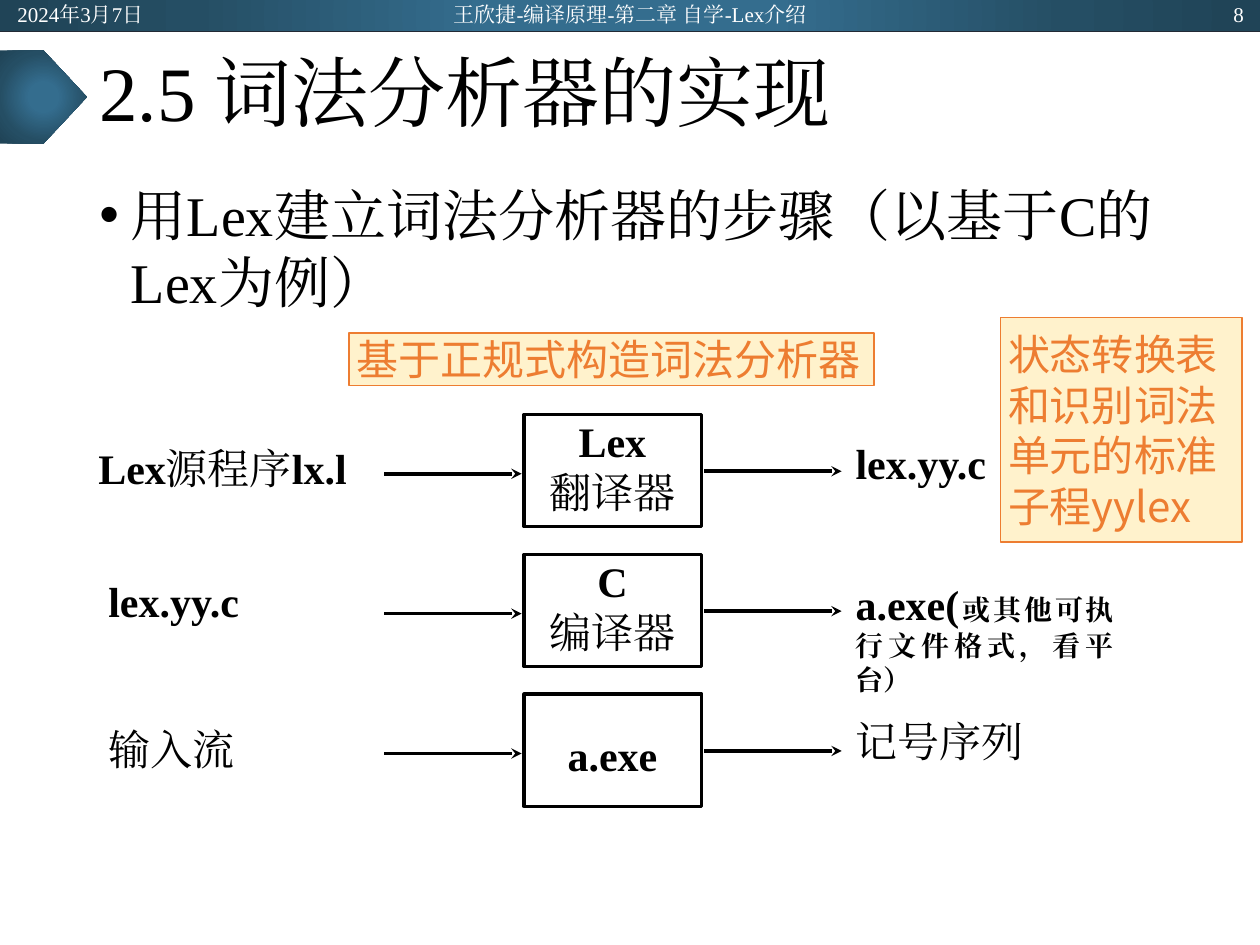
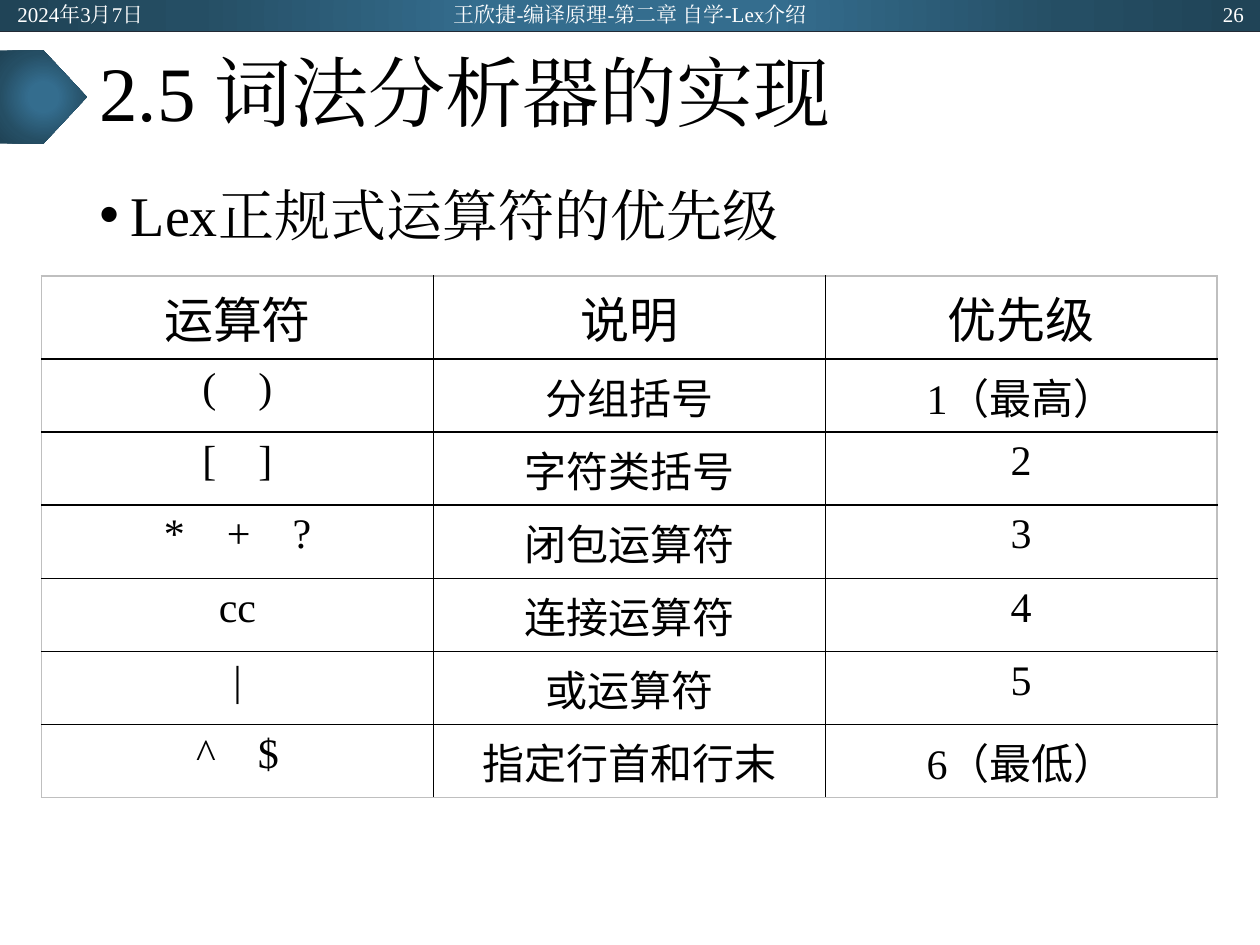
"""Build two slides on making a lexer with Lex."""
from lxml.etree import SubElement as Sub
from pptx import Presentation
from pptx.dml.color import RGBColor as Rgb
from pptx.enum.shapes import MSO_CONNECTOR as Conn, MSO_SHAPE as Geo
from pptx.enum.text import MSO_ANCHOR as Anchor, PP_ALIGN as Align
from pptx.oxml import parse_xml
from pptx.oxml.ns import qn
from pptx.util import Inches, Pt

HUES = {"black": "000000", "white": "FFFFFF", "edge": "222A35", "grey": "BFBFBF",
        "cream": "FFF2CC", "orange": "ED7D31"}
STOPS = [(0, "346D8E"), (23, "346D8E"), (69, "254E64"), (97, "204457")]
SERIF, SANS = "Times New Roman", "Noto Sans CJK SC"
NS = 'xmlns:a="http://schemas.openxmlformats.org/drawingml/2006/main"'
PAD = (0.09, 0.03, 0.1, 0.05)


def hue(name):
    return Rgb.from_string(HUES[name])


def write(frame, text, size=24, font=SERIF, east=None, color="black", bold=False,
          align=Align.LEFT, anchor=Anchor.TOP, pad=(0.1, 0.05, 0.1, 0.05),
          lead=1.2, bullet=False):
    """Fill a frame; each paragraph is a string or a list of (string, changes)."""
    frame.word_wrap = True
    frame.vertical_anchor = anchor
    (frame.margin_left, frame.margin_top,
     frame.margin_right, frame.margin_bottom) = map(Inches, pad)
    for i, part in enumerate([text] if isinstance(text, str) else text):
        para = frame.add_paragraph() if i else frame.paragraphs[0]
        para.alignment = align
        if lead:
            para.line_spacing = Pt(size * lead) if lead > 1 else lead
        if bullet:
            props = para._p.get_or_add_pPr()
            props.set("marL", str(Inches(0.25)))
            props.set("indent", str(-Inches(0.25)))
            Sub(props, qn("a:buFont")).set("typeface", "Arial")
            Sub(props, qn("a:buChar")).set("char", "•")
        for words, diff in [(part, {})] if isinstance(part, str) else part:
            run = para.add_run()
            run.text = words
            run.font.size = Pt(diff.get("size", size))
            run.font.bold = diff.get("bold", bold)
            run.font.color.rgb = hue(color)
            run.font.name = font
            props = run._r.get_or_add_rPr()
            Sub(props, qn("a:ea")).set("typeface", east or font)
            if "gap" in diff:
                props.set("spc", str(diff["gap"] * 100))


class Deck:
    """Hold the style and the current slide."""

    def __init__(self):
        self.show = Presentation()
        self.show.slide_width, self.show.slide_height = Inches(10), Inches(7.5)

    def start(self, point, page):
        self.slide = self.show.slides.add_slide(self.show.slide_layouts[6])
        self.glow(Geo.RECTANGLE, (0, 0, 10, 0.25))
        self.line(0, 0.25, 10, 0.25, "edge", 0.5)
        self.glow(Geo.PENTAGON, (0, 0.4, 0.69, 0.74))
        self.text((0.69, 0.25, 8.62, 1.04), "2.5 词法分析器的实现", size=44,
                  anchor=Anchor.MIDDLE, lead=0.9)
        self.text((0.69, 1.38, 8.62, 5.38), point, size=32, bullet=True)
        for left, width, words, align in [
                (0.04, 2.25, "2024年3月7日", Align.LEFT),
                (3.31, 3.38, "王欣捷-编译原理-第二章 自学-Lex介绍", Align.CENTER),
                (7.72, 2.25, page, Align.RIGHT)]:
            self.text((left, 0.01, width, 0.2), words, size=12, color="white",
                      align=align, anchor=Anchor.MIDDLE, lead=None)

    def text(self, box, words, **fmt):
        area = self.slide.shapes.add_textbox(*map(Inches, box))
        write(area.text_frame, words, **fmt)

    def shape(self, geo, box):
        form = self.slide.shapes.add_shape(geo, *map(Inches, box))
        form.shadow.inherit = False
        form.fill.background()
        form.line.fill.background()
        return form

    def glow(self, geo, box):
        props = self.shape(geo, box)._element.spPr
        stops = "".join(f'<a:gs pos="{pos * 1000}"><a:srgbClr val="{tone}"/></a:gs>'
                        for pos, tone in STOPS)
        fill = parse_xml(
            f'<a:gradFill {NS} rotWithShape="1"><a:gsLst>{stops}</a:gsLst>'
            '<a:path path="circle"><a:fillToRect l="50000" t="50000" r="50000" '
            'b="50000"/></a:path></a:gradFill>')
        props.replace(props.find(qn("a:noFill")), fill)

    def frame(self, box, words, line="black", width=2, fill=None, **fmt):
        form = self.shape(Geo.RECTANGLE, box)
        form.line.color.rgb = hue(line)
        form.line.width = Pt(width)
        if fill:
            form.fill.solid()
            form.fill.fore_color.rgb = hue(fill)
        write(form.text_frame, words, **fmt)

    def note(self, box, words):
        self.frame(box, words, "orange", 1, "cream", font=SANS, color="orange",
                   anchor=Anchor.MIDDLE, pad=(0.06, 0.03, 0.06, 0.03))

    def line(self, x, y, right, base, color="black", width=2, arrow=False):
        link = self.slide.shapes.add_connector(
            Conn.STRAIGHT, *map(Inches, (x, y, right, base)))
        link.line.color.rgb = hue(color)
        link.line.width = Pt(width)
        if arrow:
            Sub(link.line._get_or_add_ln(), qn("a:tailEnd")).set("type", "stealth")
        Sub(link._element.spPr, qn("a:effectLst"))

    def table(self, box, rows):
        high, wide = len(rows), len(rows[0])
        grid = self.slide.shapes.add_table(high, wide, *map(Inches, box)).table
        grid.first_row = grid.horz_banding = False
        for r, row in enumerate(rows):
            grid.rows[r].height = Inches(0.66 if r == 0 else 0.58)
            for c, words in enumerate(row):
                cell = grid.cell(r, c)
                cell.fill.solid()
                cell.fill.fore_color.rgb = hue("white")
                runs = []
                for word in words.split():
                    runs += [(" ", {"gap": 18})] * bool(runs) + [(word, {})]
                write(cell.text_frame, [runs], size=28 if r == 0 else 24,
                      east=SANS, align=Align.CENTER, lead=None)
                outer = [c == 0, c == wide - 1, r == 0, r == high - 1]
                for i, (side, rim) in enumerate(zip("LRTB", outer)):
                    tone = HUES["grey" if rim else "black"]
                    cell._tc.get_or_add_tcPr().insert(i, parse_xml(
                        f'<a:ln{side} {NS} w="{Pt(1)}"><a:solidFill>'
                        f'<a:srgbClr val="{tone}"/></a:solidFill></a:ln{side}>'))


def steps(deck):
    """Draw the three steps from source to tokens."""
    deck.start("用Lex建立词法分析器的步骤（以基于C的Lex为例）", "8")
    plain, strong = {"bold": False}, {"bold": True}
    flow = [
        ([[("Lex", strong), ("翻译器", plain)]], None, None),
    ]
    flow = [
        ((0.69, 3.48), [[("Lex", strong), ("源程序", plain), ("lx.l", strong)]],
         [[("Lex", strong)], "翻译器"], 3.44, [[("lex.yy.c", strong)]]),
        ((0.77, 4.54), [[("lex.yy.c", strong)]],
         [[("C", strong)], "编译器"], 4.56,
         [[("a.exe(", strong),
           ("或其他可执行文件格式，看平台）", {"size": 16, "bold": True})]]),
        ((0.77, 5.71), "输入流", [[("a.exe", strong)]], 5.65, "记号序列"),
    ]
    for i, (spot, source, tool, top, result) in enumerate(flow):
        y = 3.29 + i * 1.11
        last = i == 2
        deck.frame((4.16, y, 1.41, 0.89), tool, align=Align.CENTER,
                   anchor=Anchor.MIDDLE if last else Anchor.TOP,
                   pad=(0.09, 0.08 if last else 0.01, 0.1, 0.01))
        deck.line(3.05, y + 0.47, 4.14, y + 0.47, arrow=True)
        deck.line(5.59, y + 0.45, 6.68, y + 0.45, arrow=True)
        deck.text((*spot, 2.4, 0.49), source, pad=PAD)
        deck.text((6.7, top, 2.24, 0.89 if i == 1 else 0.49), result, pad=PAD,
                  align=Align.JUSTIFY, lead=None if i == 1 else 1.2)
    deck.note((7.94, 2.52, 1.92, 1.78),
              ["状态转换表", "和识别词法", "单元的标准", "子程yylex"])
    deck.note((2.77, 2.64, 4.17, 0.42), "基于正规式构造词法分析器")


def ranks(deck):
    """Draw the table of operator ranks."""
    deck.start("Lex正规式运算符的优先级", "26")
    deck.table((0.33, 2.19, 9.33, 4.14), [
        ("运算符", "说明", "优先级"),
        ("( )", "分组括号", "1（最高）"),
        ("[ ]", "字符类括号", "2"),
        ("* + ?", "闭包运算符", "3"),
        ("cc", "连接运算符", "4"),
        ("|", "或运算符", "5"),
        ("^ $", "指定行首和行末", "6（最低）"),
    ])


def main():
    """Build both slides and save them."""
    deck = Deck()
    steps(deck)
    ranks(deck)
    deck.show.save("out.pptx")


if __name__ == "__main__":
    main()
